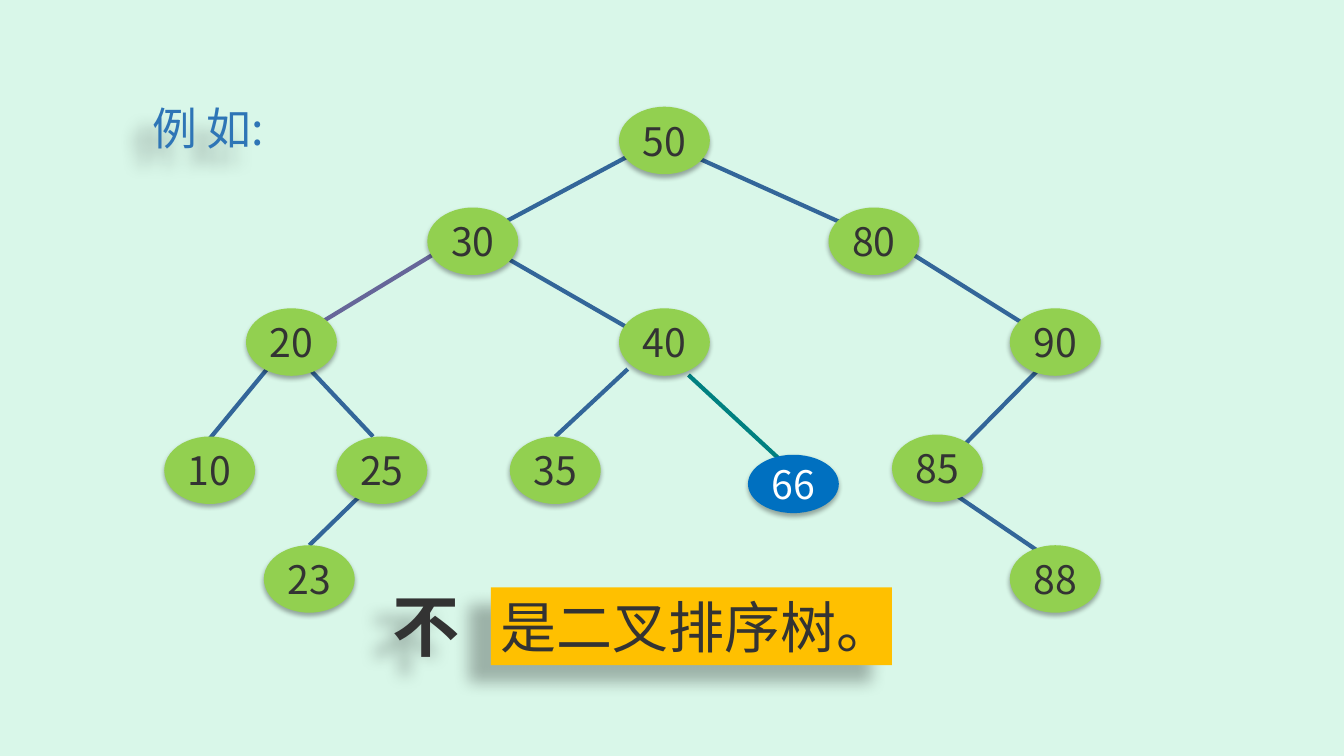
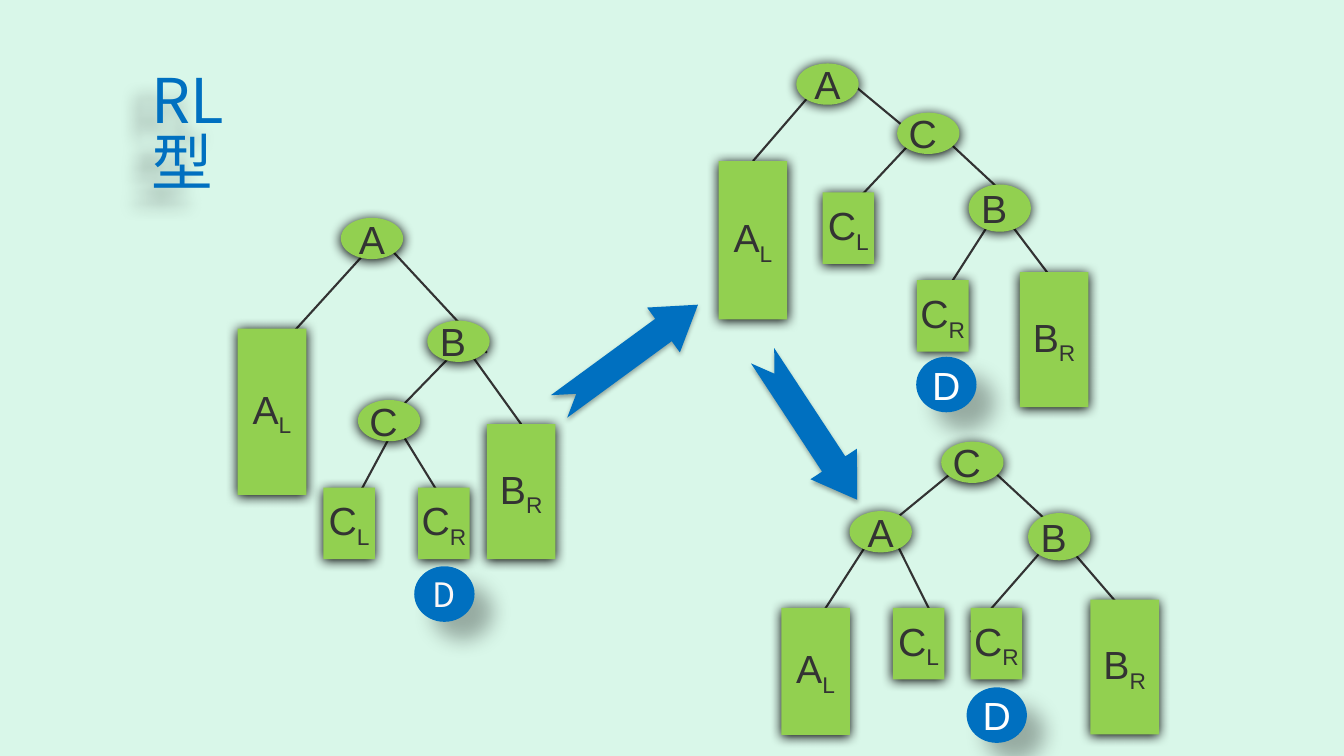
import pptx
import pptx.dml.color
import pptx.enum.shapes
import pptx.enum.text
import pptx.oxml.ns
import pptx.util
from lxml import etree

Cm, Pt = pptx.util.Cm, pptx.util.Pt
SHAPE = pptx.enum.shapes.MSO_SHAPE
ANCHOR = pptx.enum.text.MSO_ANCHOR
ALIGN = pptx.enum.text.PP_ALIGN
qn = pptx.oxml.ns.qn

MINT, GREEN, BLUE, AMBER = "D9F7E9", "92D050", "0070C0", "FFC000"
DARK, WHITE, TITLE_BLUE = "333333", "FFFFFF", "2E75B6"
STEEL, PURPLE, TEAL = "336699", "666699", "008080"
CJK, LATIN = "Noto Sans CJK SC", "Arial"

# Shadows: opacity %, blur pt, distance pt, direction in degrees
SOFT = (32, 3.5, 2.2, 90)
GLOW = (100, 8.5, 1, 90)
CAST_LEFT = (28, 11.8, 19.7, 141)
CAST_RIGHT = (30, 15, 18, 45)

OVAL_W, OVAL_H = 1.57, 1.04
TALL_OVAL_H = 1.19
TALL_W = 1.73
SMALL_W, SMALL_H = 1.3, 1.8
NUMBER_W, NUMBER_H = 2.29, 1.7


def rgb(color):
    return pptx.dml.color.RGBColor.from_string(color)


def add_effects(sp, shadow=None):
    """Give the shape an effect list: empty, or holding one outer shadow."""
    effects = etree.SubElement(sp._element.spPr, qn("a:effectLst"))
    if shadow:
        opacity, blur, dist, angle = shadow
        outer = etree.SubElement(effects, qn("a:outerShdw"), blurRad=str(Pt(blur)),
                                 dist=str(Pt(dist)), dir=str(angle * 60000),
                                 algn="ctr", rotWithShape="0")
        black = etree.SubElement(outer, qn("a:srgbClr"), val="000000")
        etree.SubElement(black, qn("a:alpha"), val=str(opacity * 1000))


def add_run(p, text, size, color, font=CJK, bold=False, subscript=False):
    r = p.add_run()
    r.text = text
    r.font.name = font
    r.font.size = Pt(size)
    r.font.bold = bold
    r.font.color.rgb = rgb(color)
    r_pr = r._r.get_or_add_rPr()
    etree.SubElement(r_pr, qn("a:ea"), typeface=font)
    if subscript:
        r_pr.set("baseline", "-25000")


def set_title(s, box, text, size, color, align, spacing):
    sp = s.shapes.title
    sp.left, sp.top, sp.width, sp.height = map(Cm, box)
    add_effects(sp, CAST_LEFT)
    tf = sp.text_frame
    tf.word_wrap = True
    tf.auto_size = pptx.enum.text.MSO_AUTO_SIZE.NONE
    tf.vertical_anchor = ANCHOR.BOTTOM
    p = tf.paragraphs[0]
    p.alignment = align
    p.line_spacing = spacing
    add_run(p, text, size, color)


def add_shape(s, kind, box, fill, shadow):
    sp = s.shapes.add_shape(kind, *map(Cm, box))
    sp.fill.solid()
    sp.fill.fore_color.rgb = rgb(fill)
    sp.line.fill.background()
    add_effects(sp, shadow)
    return sp


def add_node(s, kind, box, text, sub="", fill=GREEN, color=DARK, font=LATIN,
             size=28, shadow=GLOW):
    sp = add_shape(s, kind, box, fill, shadow)
    tf = sp.text_frame
    tf.word_wrap = False
    tf.vertical_anchor = ANCHOR.MIDDLE
    p = tf.paragraphs[0]
    p.alignment = ALIGN.CENTER
    add_run(p, text, size, color, font)
    if sub:
        add_run(p, sub, size, color, font, subscript=True)
    return sp


def add_edges(s, nodes, edges, color, width):
    """Draw lines behind the nodes; an edge ends at a point or on top of a named node."""
    for x, y, *end in edges:
        named = len(end) == 1
        x2, y2 = (x, y) if named else end
        cx = s.shapes.add_connector(pptx.enum.shapes.MSO_CONNECTOR.STRAIGHT,
                                    Cm(x), Cm(y), Cm(x2), Cm(y2))
        if named:
            cx.end_connect(nodes[end[0]], 0)
        cx.line.color.rgb = rgb(color)
        cx.line.width = Pt(width)
        add_effects(cx)
        s.shapes.element.insert(2, cx._element)


def add_rotation_tree(s, ovals, blocks, leaf, edges, leaf_style):
    """Draw a tree of ovals, subtree blocks such as AL, and the inserted leaf D."""
    nodes = {}
    for name, (x, y, h) in ovals.items():
        label = name if name == "A" else name + " "
        nodes[name] = add_node(s, SHAPE.OVAL, (x, y, OVAL_W, h), label)
    for name, (x, y, w, h) in blocks.items():
        nodes[name] = add_node(s, SHAPE.RECTANGLE, (x, y, w, h), *name)
    add_node(s, SHAPE.OVAL, (*leaf, 1.52, 1.4), "D", fill=BLUE,
             shadow=CAST_RIGHT, **leaf_style)
    add_edges(s, nodes, edges, DARK, 1.5)


def build_example(s):
    set_title(s, (3.15, 2.69, 4.19, 1.35), "例 如:", 32, TITLE_BLUE, ALIGN.CENTER, 0.9)
    levels = [
        (2.69, {"50": 15.6}),
        (5.23, {"30": 10.77, "80": 20.88}),
        (7.77, {"20": 6.2, "40": 15.6, "90": 25.45}),
        (11, {"10": 4.14, "25": 8.48, "35": 12.85}),
        (10.95, {"85": 22.48}),
        (13.74, {"23": 6.65, "88": 25.45}),
    ]
    nodes = {}
    for y, row in levels:
        for number, x in row.items():
            nodes[number] = add_node(s, SHAPE.OVAL, (x, y, NUMBER_W, NUMBER_H), number,
                                     font=CJK, shadow=SOFT)
    add_node(s, SHAPE.OVAL, (18.85, 11.46, NUMBER_W, 1.47), "66", fill=BLUE,
             color=WHITE, font=CJK, shadow=SOFT)

    add_edges(s, nodes, [
        (17.65, 4.01, 21.31, 5.66), (15.88, 3.91, 12.6, 5.66),
        (12.85, 6.55, 15.82, 8.26), (6.73, 9.3, 5.18, 11.18),
        (7.8, 9.3, 9.4, 11), (9.17, 12.4, "23"), (15.82, 9.3, "35"),
        (22.78, 6.27, 25.96, 8.26), (26.29, 9.19, 24.31, 11.2),
        (24.08, 12.47, 26.24, 13.94),
    ], STEEL, 3)
    add_edges(s, nodes, [(11.02, 6.35, 8.05, 8.15)], PURPLE, 3)
    add_edges(s, nodes, [(17.35, 9.45, 19.99, 11.89)], TEAL, 3)

    negation = s.shapes.add_textbox(Cm(9.63), Cm(14.6), Cm(2.57), Cm(2.31))
    add_effects(negation, CAST_LEFT)
    negation.text_frame.word_wrap = True
    add_run(negation.text_frame.paragraphs[0], "不", 48, DARK, bold=True)

    banner = add_shape(s, SHAPE.RECTANGLE, (12.37, 14.8, 10.11, 1.96), AMBER, CAST_LEFT)
    tf = banner.text_frame
    tf.word_wrap = True
    tf.vertical_anchor = ANCHOR.TOP
    p = tf.paragraphs[0]
    p.alignment = ALIGN.LEFT
    add_run(p, "是二叉排序树。", 40, DARK)


def build_rotation(s):
    set_title(s, (3.56, 1.3, 3.7, 3.8), "RL型", 44, BLUE, ALIGN.LEFT, 0.83)
    white_leaf = {"color": WHITE}
    add_rotation_tree(
        s,
        {"A": (8.59, 5.49, OVAL_H), "B": (10.77, 8.08, OVAL_H), "C": (9.02, 10.08, OVAL_H)},
        {"AL": (5.99, 8.28, TALL_W, 4.19), "BR": (12.27, 10.69, TALL_W, 3.4),
         "CL": (8.15, 12.29, SMALL_W, SMALL_H), "CR": (10.54, 12.29, SMALL_W, SMALL_H)},
        (10.44, 14.27),
        [(9.45, 6.1, 7.29, 8.48), (11.63, 8.69, 9.88, 10.49), (11.84, 8.89, "BR"),
         (9.68, 6.1, 12.27, 8.89), (9.88, 10.9, 9.02, 12.5), (10.11, 10.9, 11.2, 12.67)],
        {"color": "FCF7F7", "font": CJK, "size": 24})
    add_rotation_tree(
        s,
        {"A": (20.07, 1.6, OVAL_H), "C": (22.61, 2.84, OVAL_H),
         "B": (24.41, 4.65, TALL_OVAL_H)},
        {"AL": (18.11, 4.06, TALL_W, 3.99), "BR": (25.7, 6.86, TALL_W, 3.4),
         "CL": (20.73, 4.85, SMALL_W, SMALL_H), "CR": (23.11, 7.06, SMALL_W, SMALL_H)},
        (23.09, 8.99),
        [(20.7, 2.06, "AL"), (21.16, 1.85, 23.09, 3.45), (25.04, 5.46, 23.75, 7.47),
         (25.48, 5.66, 27, 7.67), (23.09, 3.45, 21.59, 5.05), (23.55, 3.25, 25.27, 4.85)],
        white_leaf)
    add_rotation_tree(
        s,
        {"C": (23.72, 11.13, OVAL_H), "A": (21.41, 12.88, OVAL_H),
         "B": (25.91, 12.93, TALL_OVAL_H)},
        {"AL": (19.69, 15.32, TALL_W, 3.2), "BR": (27.48, 15.11, TALL_W, 3.4),
         "CL": (22.5, 15.32, SMALL_W, SMALL_H), "CR": (24.46, 15.32, SMALL_W, SMALL_H)},
        (24.36, 17.32),
        [(22.5, 13.51, 23.6, 15.72), (22.5, 13.13, 24.23, 11.71), (21.84, 13.72, 20.55, 15.72),
         (27.05, 13.92, 28.78, 15.93), (26.39, 13.72, 24.46, 15.93),
         (24.66, 11.53, 26.39, 13.13)],
        white_leaf)
    for x, y, angle in [(13.67, 8.26, 323.8), (18.24, 10.08, 56.7)]:
        arrow = add_shape(s, SHAPE.NOTCHED_RIGHT_ARROW, (x, y, 4.34, 1.4), BLUE, SOFT)
        arrow.adjustments[0] = 0.5
        arrow.adjustments[1] = 0.77
        arrow.rotation = angle


def main():
    prs = pptx.Presentation()
    prs.slide_width, prs.slide_height = Cm(33.87), Cm(19.05)
    background = prs.slide_master.background.fill
    background.solid()
    background.fore_color.rgb = rgb(MINT)
    title_only = prs.slide_layouts[5]
    for build in (build_example, build_rotation):
        build(prs.slides.add_slide(title_only))
    prs.save("out.pptx")


if __name__ == "__main__":
    main()
